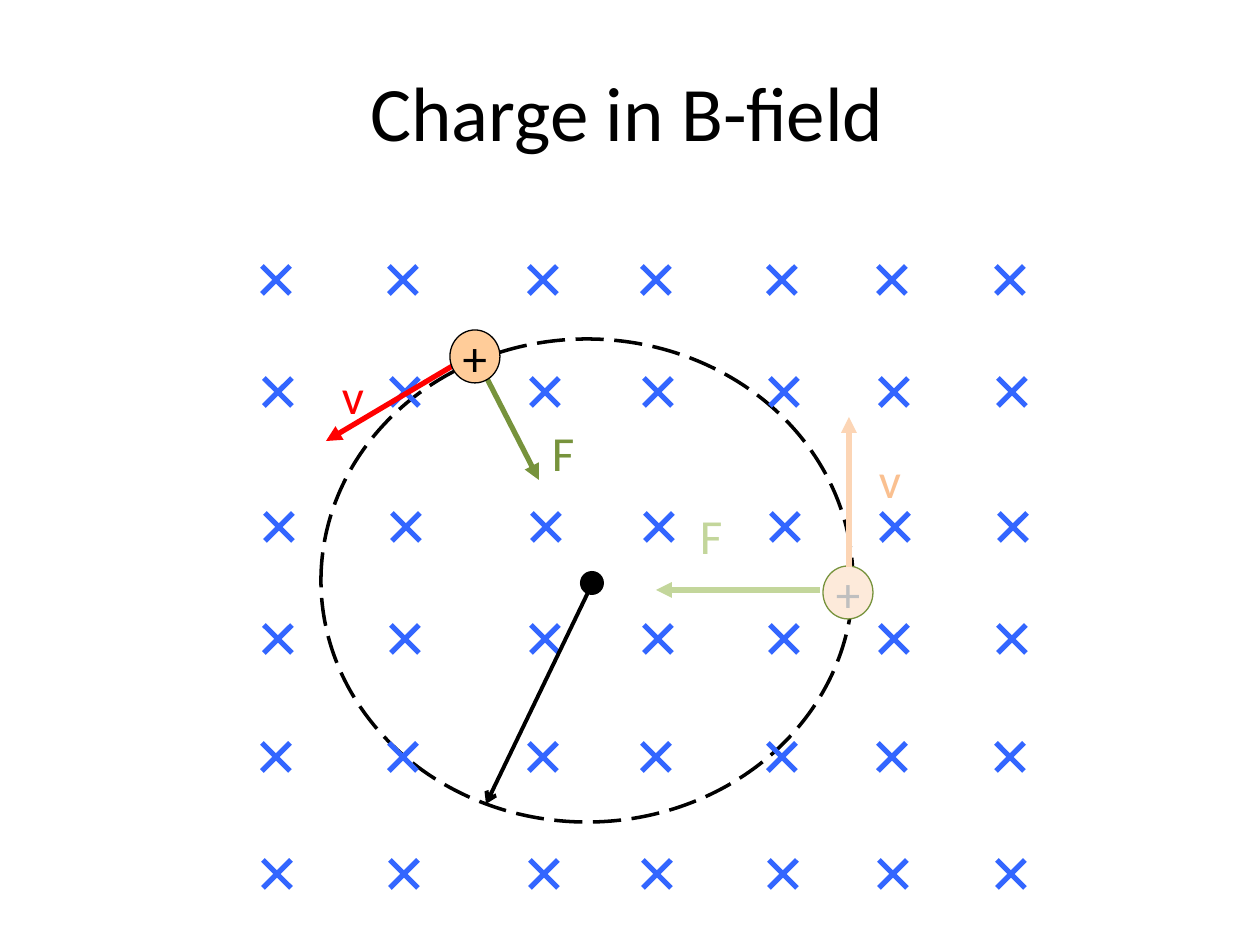
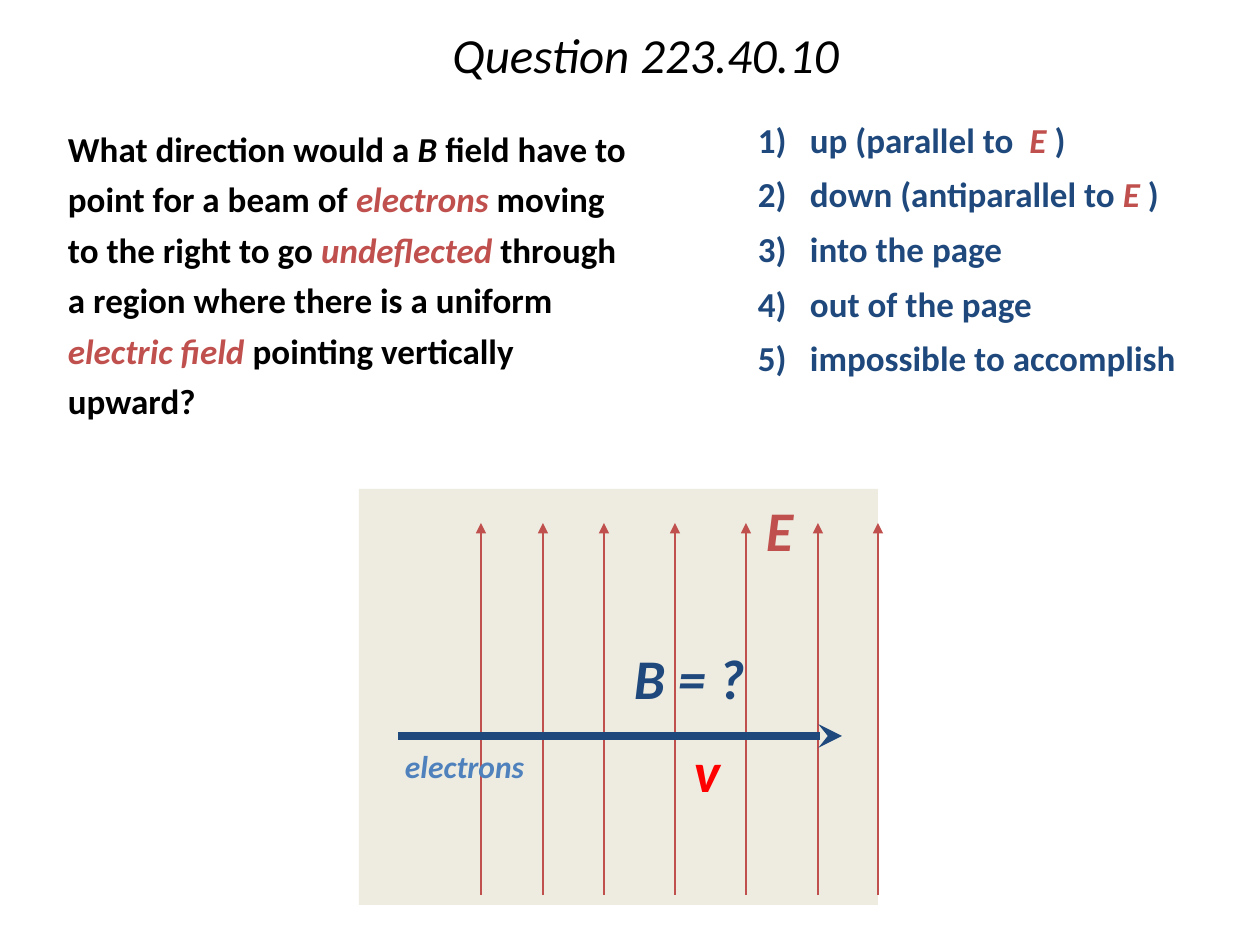
from lxml import etree
from pptx import Presentation
from pptx.dml.color import RGBColor
from pptx.enum.dml import MSO_LINE
from pptx.enum.shapes import MSO_CONNECTOR, MSO_SHAPE
from pptx.enum.text import MSO_ANCHOR, PP_ALIGN
from pptx.oxml.ns import qn
from pptx.util import Pt

STRAIGHT = MSO_CONNECTOR.STRAIGHT
OVAL, RECT = MSO_SHAPE.OVAL, MSO_SHAPE.RECTANGLE
LONG_DASH = MSO_LINE.LONG_DASH
MIDDLE, TOP = MSO_ANCHOR.MIDDLE, MSO_ANCHOR.TOP
CENTER, LEFT = PP_ALIGN.CENTER, PP_ALIGN.LEFT

EMU_PER_PX = 914400 / 126
FONT = "Calibri"
BLACK, RED, NAVY, BRICK = "000000", "FF0000", "1F497D", "C0504D"
CROSS_BLUE, OLIVE, PALE_OLIVE, PALE_ORANGE = "3366FF", "77933C", "C3D69B", "FAC090"

ORBIT = (321, 339, 532, 483)
CENTRE_DOT = (580, 571, 24, 24)
RADIUS = ((595, 578), (486, 804), BLACK, 2.25, "arrow")
CROSS_SIZE = 28
CROSS_COLUMNS = [262, 389, 529, 642, 768, 878, 996]
CROSS_ROWS = [(266, 0), (378, 2), (513, 3), (625, 2), (743, 0), (860, 1)]
LATER_CHARGE = ((450, 330, 50, 53), "FFCC99", BLACK, BLACK)
EARLY_CHARGE = ((823, 566, 50, 53), "FDEADA", OLIVE, "BFBFBF")
EARLY_VELOCITY = ((849, 567), (849, 417), "FCD5B5", 3, "triangle")
VECTORS = [
    ((820, 590), (656, 590), PALE_OLIVE, 3, "triangle"),
    ((466, 358), (326, 441), RED, 3, "triangle"),
    ((479, 363), (539, 480), OLIVE, 3, "triangle"),
]
VECTOR_LABELS = [
    ("v", (866, 444, 48, 72), PALE_ORANGE),
    ("F", (687, 499, 48, 72), PALE_OLIVE),
    ("F", (539, 416, 48, 72), OLIVE),
    ("v", (329, 359, 50, 72), RED),
]

QUESTION = [[
    ("What direction would a ", BLACK, False), ("B", BLACK, True),
    (" field have to point for a beam of ", BLACK, False),
    ("electrons", BRICK, True), (" moving to the right to go ", BLACK, False),
    ("undeflected", BRICK, True),
    (" through a region where there is a uniform ", BLACK, False),
    ("electric field", BRICK, True),
    (" pointing vertically upward?", BLACK, False),
]]
ANSWERS = [
    [("up (parallel to  ", NAVY, False), ("E ", BRICK, True), (")", NAVY, False)],
    [("down (antiparallel to ", NAVY, False), ("E ", BRICK, True), (")", NAVY, False)],
    [("into the page", NAVY, False)],
    [("out of the page", NAVY, False)],
    [("impossible to accomplish", NAVY, False)],
]
REGION = (359, 489, 519, 416)
FIELD_LINES = [481, 543, 604, 675, 746, 818, 878]
FIELD_TOP, FIELD_BOTTOM = 523, 895
BEAM = ((398, 736), (842, 736), NAVY, 4.5, "stealth")
REGION_LABELS = [
    ("electrons", (396, 748, 204, 50), "4F81BD", 18),
    ("E", (757, 501, 55, 66), BRICK, 32),
    ("v", (685, 742, 49, 66), RED, 32),
    ("B = ?", (625, 649, 158, 66), NAVY, 32),
]


def px(length):
    return round(length * EMU_PER_PX)


def rgb(value):
    return RGBColor.from_string(value)


def write(frame, paragraphs, size, bold=False, align=LEFT, anchor=TOP,
          insets=(13, 6), wrap=True, spacing=1.0, before=0, indent=(0, 0)):
    frame.word_wrap = wrap
    frame.vertical_anchor = anchor
    frame.margin_left = frame.margin_right = px(insets[0])
    frame.margin_top = frame.margin_bottom = px(insets[1])
    for index, runs in enumerate(paragraphs):
        paragraph = frame.paragraphs[0] if index == 0 else frame.add_paragraph()
        properties = paragraph._p.get_or_add_pPr()
        properties.set("marL", str(px(indent[0])))
        properties.set("indent", str(px(indent[1])))
        paragraph.alignment = align
        paragraph.line_spacing = spacing
        if index:
            paragraph.space_before = Pt(before)
        for text, color, italic in runs:
            run = paragraph.add_run()
            run.text = text
            font = run.font
            font.name, font.size = FONT, Pt(size)
            font.bold, font.italic = bold, italic
            font.color.rgb = rgb(color)


def add_text(shapes, box, paragraphs, size, **style):
    frame = shapes.add_textbox(*map(px, box)).text_frame
    write(frame, paragraphs, size, **style)


def add_title(slide, box, text, size, italic=False, spacing=1.0):
    add_text(slide.shapes, box, [[(text, BLACK, italic)]], size,
             align=CENTER, anchor=MIDDLE, spacing=spacing)


def add_figure(shapes, kind, box, fill=None, line=None, width=0.75):
    figure = shapes.add_shape(kind, *map(px, box))
    figure.shadow.inherit = False
    if fill:
        figure.fill.solid()
        figure.fill.fore_color.rgb = rgb(fill)
    else:
        figure.fill.background()
    if line:
        figure.line.color.rgb = rgb(line)
        figure.line.width = Pt(width)
    else:
        figure.line.fill.background()
    return figure


def add_line(shapes, start, end, color, width, head=None):
    connector = shapes.add_connector(STRAIGHT, *map(px, start + end))
    connector.line.color.rgb = rgb(color)
    connector.line.width = Pt(width)
    if head:
        etree.SubElement(connector.line._get_or_add_ln(), qn("a:tailEnd"), type=head)
    etree.SubElement(connector._element.spPr, qn("a:effectLst"))


def add_charge(shapes, box, fill, line, color):
    charge = add_figure(shapes, OVAL, box, fill, line)
    write(charge.text_frame, [[("+", color, False)]], 28, align=CENTER,
          anchor=MIDDLE, insets=(0, 0), wrap=False)


def add_cross(shapes, left, top):
    cross = shapes.add_group_shape().shapes
    right, bottom = left + CROSS_SIZE, top + CROSS_SIZE
    add_line(cross, (left, top), (right, bottom), CROSS_BLUE, 3)
    add_line(cross, (right, top), (left, bottom), CROSS_BLUE, 3)


def build_charge_slide(slide):
    shapes = slide.shapes
    orbit = add_figure(shapes, OVAL, ORBIT, line=BLACK, width=2)
    orbit.line.dash_style = LONG_DASH
    add_title(slide, (60, 32, 1134, 158), "Charge in B-field", 44)
    add_charge(shapes, *EARLY_CHARGE)
    add_line(shapes, *EARLY_VELOCITY)
    for top, shift in CROSS_ROWS:
        for left in CROSS_COLUMNS:
            add_cross(shapes, left + shift, top)
    add_line(shapes, *RADIUS)
    add_figure(shapes, OVAL, CENTRE_DOT, BLACK)
    for vector in VECTORS:
        add_line(shapes, *vector)
    for text, box, color in VECTOR_LABELS:
        add_text(shapes, box, [[(text, color, False)]], 28)
    add_charge(shapes, *LATER_CHARGE)


def build_question_slide(slide):
    add_title(slide, (91, 0, 1109, 116), "Question 223.40.10", 28, True, 0.9)
    add_text(slide.shapes, (0, 108, 641, 382), QUESTION, 20, bold=True,
             insets=(13, 11), spacing=1.2, indent=(55, 0))
    numbered = [[(f"{number})\t", NAVY, False)] + runs
                for number, runs in enumerate(ANSWERS, 1)]
    add_text(slide.shapes, (745, 117, 515, 286), numbered, 20, bold=True,
             spacing=0.9, before=9.6, indent=(52, -52))
    region = slide.shapes.add_group_shape().shapes
    add_figure(region, RECT, REGION, "EEECE1")
    for x in FIELD_LINES:
        add_line(region, (x, FIELD_BOTTOM), (x, FIELD_TOP), BRICK, 0.75, "triangle")
    add_line(region, *BEAM)
    for text, box, color, size in REGION_LABELS:
        add_text(region, box, [[(text, color, True)]], size, bold=True,
                 insets=(9, 4), spacing=0.87)


def main():
    deck = Presentation()
    deck.slide_width, deck.slide_height = px(1260), px(945)
    blank = deck.slide_layouts[6]
    for build in (build_charge_slide, build_question_slide):
        build(deck.slides.add_slide(blank))
    deck.save("out.pptx")


if __name__ == "__main__":
    main()
